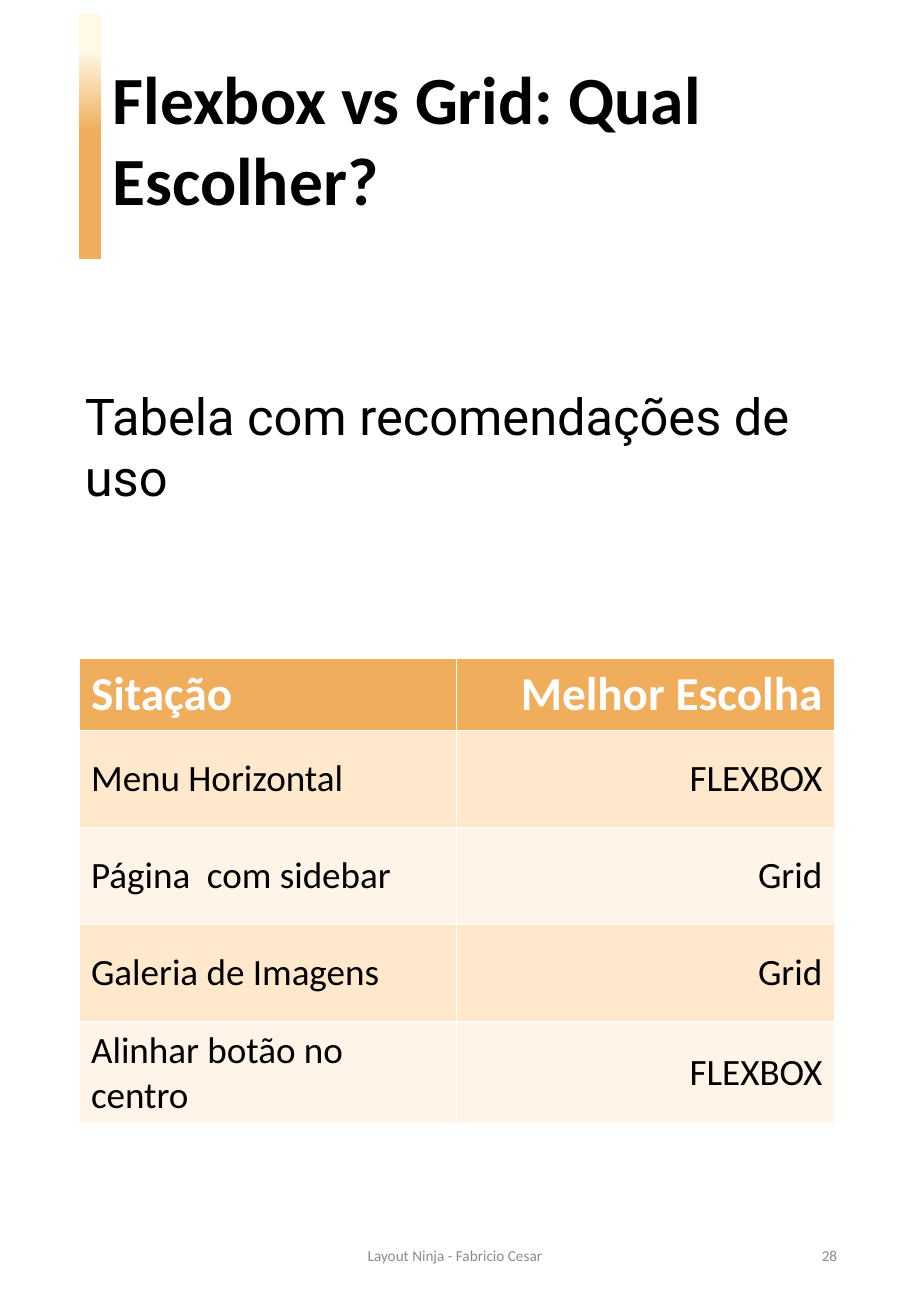
from pptx import Presentation
from pptx.dml.color import RGBColor
from pptx.enum.shapes import MSO_SHAPE
from pptx.enum.text import MSO_ANCHOR as ANCHOR, PP_ALIGN as ALIGN
from pptx.util import Inches, Pt


def color(value):
    return RGBColor.from_string(value)


def style(paragraph, size, tint, bold=False, align=ALIGN.LEFT, name="Calibri"):
    paragraph.alignment = align
    font = paragraph.font
    font.name, font.size, font.bold = name, Pt(size), bold
    font.color.rgb = color(tint)


presentation = Presentation()
presentation.slide_width, presentation.slide_height = Inches(7.5), Inches(10.83)
slide = presentation.slides.add_slide(presentation.slide_layouts[6])

# Accent bar beside the title, fading from cream to orange
bar = slide.shapes.add_shape(
    MSO_SHAPE.RECTANGLE, Inches(0.65), Inches(0.11), Inches(0.18), Inches(2.02))
bar.shadow.inherit = False
bar.line.fill.background()
bar.fill.gradient()
bar.fill.gradient_angle = 270
for stop, position, tint in zip(bar.fill.gradient_stops, (0.15, 0.48), ("FFF9E6", "F0AE5C")):
    stop.position = position
    stop.color.rgb = color(tint)

# Title, subtitle and footer
texts = [
    ("Flexbox vs Grid: Qual Escolher?", (0.83, 0.42, 5.9, 1.45), ANCHOR.TOP,
     dict(size=40, tint="000000", bold=True)),
    ("Tabela com recomendações de uso", (0.6, 3.12, 6.34, 0.61), ANCHOR.TOP,
     dict(size=30, tint="000000", name="Roboto")),
    ("Layout Ninja - Fabricio Cesar", (2.48, 10.04, 2.53, 0.58), ANCHOR.MIDDLE,
     dict(size=9, tint="8C8C8C", align=ALIGN.CENTER)),
    ("28", (5.3, 10.04, 1.69, 0.58), ANCHOR.MIDDLE,
     dict(size=9, tint="8C8C8C", align=ALIGN.RIGHT)),
]
for text, place, anchor, look in texts:
    frame = slide.shapes.add_textbox(*map(Inches, place)).text_frame
    frame.word_wrap = True
    frame.vertical_anchor = anchor
    frame.text = text
    style(frame.paragraphs[0], **look)

# Recommendation table; white borders come from the default table style
rows = [
    ("Sitação", "Melhor Escolha"),
    ("Menu Horizontal", "FLEXBOX"),
    ("Página  com sidebar", "Grid"),
    ("Galeria de Imagens", "Grid"),
    ("Alinhar botão no centro", "FLEXBOX"),
]
table = slide.shapes.add_table(
    len(rows), 2, Inches(0.65), Inches(5.42), Inches(6.22), Inches(3.79)).table
for row_index, row in enumerate(rows):
    header = row_index == 0
    table.rows[row_index].height = Inches(0.59 if header else 0.8)
    band = "F0AE5C" if header else ("FFF4E7", "FFE8CC")[row_index % 2]
    for column_index, text in enumerate(row):
        cell = table.cell(row_index, column_index)
        cell.text = text
        cell.vertical_anchor = ANCHOR.MIDDLE
        cell.fill.solid()
        cell.fill.fore_color.rgb = color(band)
        style(cell.text_frame.paragraphs[0], 28 if header else 22,
              "FFFFFF" if header else "000000", header,
              (ALIGN.LEFT, ALIGN.RIGHT)[column_index])

presentation.save("out.pptx")
